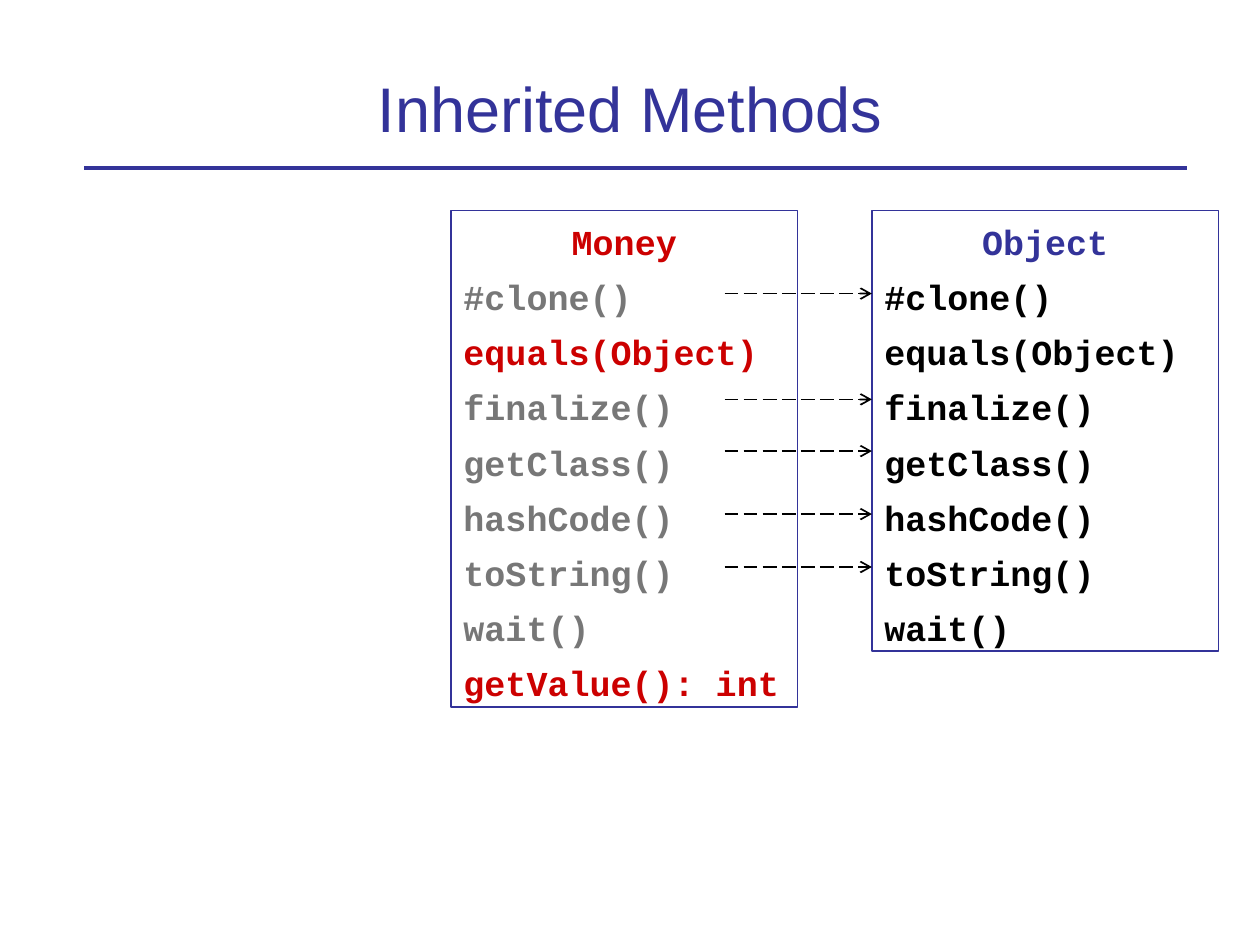
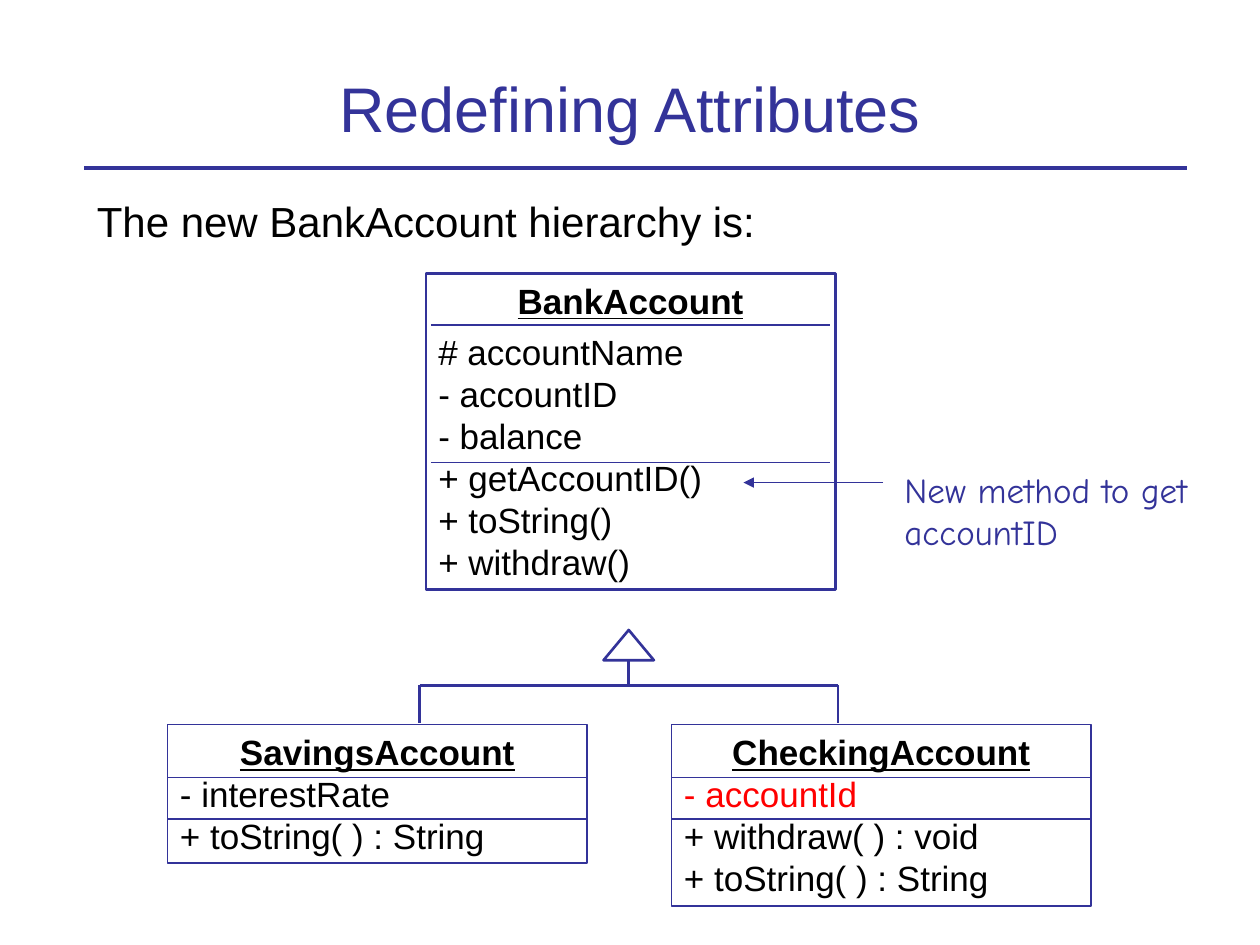
from dataclasses import dataclass
from typing import Optional

import pptx
import pptx.dml.color
import pptx.enum.dml
import pptx.enum.shapes
import pptx.enum.text
import pptx.oxml.ns
import pptx.presentation
import pptx.shapes.base
import pptx.shapes.connector
import pptx.slide
import pptx.text.text
import pptx.util
from lxml import etree

Inches = pptx.util.Inches
Pt = pptx.util.Pt
Align = pptx.enum.text.PP_ALIGN
Shape = pptx.enum.shapes.MSO_SHAPE
Dash = pptx.enum.dml.MSO_LINE

COLOURS = {
    "blue": "333399",
    "crimson": "CC0000",
    "red": "FF0000",
    "grey": "777777",
    "black": "000000",
    "white": "FFFFFF",
}
BODY_FONT = "Arial"
CODE_FONT = "Courier New"
NOTE_FONT = "Comic Neue"
LEADING = 1.2
BLANK_LAYOUT = 6


@dataclass
class Line:
    text: str
    colour: str = "black"
    size: float = 20
    font: str = BODY_FONT
    heading: bool = False
    underline: bool = False
    bold: bool = False
    before: float = 0


@dataclass
class ClassBox:
    left: float
    top: float
    width: float
    height: float
    lines: list[Line]
    weight: float
    fill: Optional[str] = None
    dividers: tuple[float, ...] = ()
    divider_weight: float = 0.75
    divider_inset: float = 0
    inset_top: float = 0.05


def rgb(name: str) -> pptx.dml.color.RGBColor:
    return pptx.dml.color.RGBColor.from_string(COLOURS[name])


def write_lines(frame: pptx.text.text.TextFrame, lines: list[Line]) -> None:
    frame.word_wrap = True
    frame.text = "\n".join(line.text for line in lines)
    for para, line in zip(frame.paragraphs, lines):
        para.alignment = Align.CENTER if line.heading else Align.LEFT
        para.line_spacing = Pt(line.size * LEADING)
        para.space_before = Pt(line.before)
        for span in para.runs:
            span.font.name = line.font
            span.font.size = Pt(line.size)
            span.font.bold = line.bold
            span.font.underline = line.underline
            span.font.color.rgb = rgb(line.colour)


def add_text(page: pptx.slide.Slide, left: float, top: float, width: float,
             height: float, line: Line) -> pptx.shapes.base.BaseShape:
    box = page.shapes.add_textbox(Inches(left), Inches(top),
                                  Inches(width), Inches(height))
    write_lines(box.text_frame, [line])
    return box


def add_line(page: pptx.slide.Slide, start: tuple[float, float],
             end: tuple[float, float], weight: float, colour: str = "blue",
             arrow: Optional[str] = None) -> pptx.shapes.connector.Connector:
    """Draw a straight line; arrow names the arrowhead at its end."""
    connector = page.shapes.add_connector(
        pptx.enum.shapes.MSO_CONNECTOR.STRAIGHT,
        *(Inches(value) for value in (*start, *end)))
    connector.line.color.rgb = rgb(colour)
    connector.line.width = Pt(weight)
    if arrow:
        etree.SubElement(connector.line._get_or_add_ln(),
                         pptx.oxml.ns.qn("a:tailEnd"), type=arrow)
    etree.SubElement(connector._element.spPr, pptx.oxml.ns.qn("a:effectLst"))
    return connector


def add_outlined(page: pptx.slide.Slide, kind: Shape, left: float, top: float,
                 width: float, height: float, weight: float,
                 fill: Optional[str] = None) -> pptx.shapes.base.BaseShape:
    shape = page.shapes.add_shape(kind, Inches(left), Inches(top),
                                  Inches(width), Inches(height))
    shape.shadow.inherit = False
    if fill:
        shape.fill.solid()
        shape.fill.fore_color.rgb = rgb(fill)
    else:
        shape.fill.background()
    shape.line.color.rgb = rgb("blue")
    shape.line.width = Pt(weight)
    return shape


def add_class_box(page: pptx.slide.Slide, item: ClassBox) -> None:
    box = add_outlined(page, Shape.RECTANGLE, item.left, item.top,
                       item.width, item.height, item.weight, item.fill)
    frame = box.text_frame
    frame.vertical_anchor = pptx.enum.text.MSO_ANCHOR.TOP
    frame.margin_top = Inches(item.inset_top)
    frame.margin_bottom = Inches(0.1 - item.inset_top)
    write_lines(frame, item.lines)
    for y in item.dividers:
        add_line(page, (item.left + item.divider_inset, y),
                 (item.left + item.width - item.divider_inset, y),
                 item.divider_weight)


def add_titled_page(deck: pptx.presentation.Presentation,
                    title: str) -> pptx.slide.Slide:
    page = deck.slides.add_slide(deck.slide_layouts[BLANK_LAYOUT])
    add_line(page, (0.67, 1.33), (9.42, 1.33), 2.25)
    box = add_text(page, 0.67, 0.25, 8.66, 0.95,
                   Line(title, "blue", 36, heading=True))
    box.text_frame.vertical_anchor = pptx.enum.text.MSO_ANCHOR.BOTTOM
    return page


def code_box(left: float, height: float,
             members: list[tuple[str, str]]) -> ClassBox:
    """Describe a class whose first (text, colour) pair is its name."""
    lines = [Line(text, colour, font=CODE_FONT, bold=True, heading=index == 0,
                  before=7.5 if index else 0)
             for index, (text, colour) in enumerate(members)]
    return ClassBox(left, 1.67, 2.75, height, lines, 1, "white", inset_top=0.08)


def class_name(text: str) -> Line:
    return Line(text, heading=True, bold=True, underline=True)


def build_inherited_methods(deck: pptx.presentation.Presentation) -> None:
    page = add_titled_page(deck, "Inherited Methods")
    methods = ["#clone()", "equals(Object)", "finalize()", "getClass()",
               "hashCode()", "toString()", "wait()"]
    overridden = {"equals(Object)"}
    object_members = [("Object", "blue")]
    money_members = [("Money", "crimson")]
    for method in methods:
        object_members.append((method, "black"))
        money_members.append(
            (method, "crimson" if method in overridden else "grey"))
    money_members.append(("getValue(): int", "crimson"))

    add_class_box(page, code_box(6.92, 3.5, object_members))
    add_class_box(page, code_box(3.58, 3.94, money_members))
    for y in (2.33, 3.17, 3.58, 4.08, 4.5):
        arrow = add_line(page, (5.75, y), (6.92, y), 1, "black", "arrow")
        arrow.line.dash_style = Dash.LONG_DASH


def build_redefining_attributes(deck: pptx.presentation.Presentation) -> None:
    page = add_titled_page(deck, "Redefining Attributes")
    add_text(page, 0.67, 1.5, 8.66, 0.58,
             Line("The new BankAccount hierarchy is:", size=24))

    account = [class_name("BankAccount"), Line("# accountName", before=5),
               Line("- accountID"), Line("- balance"),
               Line("+ getAccountID()"), Line("+ toString()"),
               Line("+ withdraw()")]
    checking = [class_name("CheckingAccount"), Line("- accountId", "red"),
                Line("+ withdraw( ) : void"), Line("+ toString( ) : String")]
    savings = [class_name("SavingsAccount"), Line("- interestRate"),
               Line("+ toString( ) : String")]

    add_class_box(page, ClassBox(3.38, 2.17, 3.25, 2.51, account, 1.5,
                                 dividers=(2.58, 3.67), divider_weight=1,
                                 divider_inset=0.04))
    for left, height, lines in ((5.33, 1.44, checking), (1.33, 1.1, savings)):
        add_class_box(page, ClassBox(left, 5.75, 3.33, height, lines, 0.75,
                                     dividers=(6.17, 6.5)))

    stem_x, branch_y, branch_xs = 4.99, 5.44, (3.33, 6.65)
    add_outlined(page, Shape.ISOSCELES_TRIANGLE, stem_x - 0.2, 5, 0.4, 0.24, 1.5)
    add_line(page, (stem_x, branch_y), (stem_x, 5.24), 1.5)
    add_line(page, (branch_xs[0], branch_y), (branch_xs[1], branch_y), 1.5)
    for x in branch_xs:
        add_line(page, (x, branch_y), (x, 5.74), 1.5)

    add_line(page, (7.01, 3.83), (5.9, 3.83), 1, arrow="triangle")
    add_text(page, 7.08, 3.67, 2.67, 0.77,
             Line("New method to get accountID", "blue", font=NOTE_FONT))


def main() -> None:
    deck = pptx.Presentation()
    deck.slide_width = Inches(10)
    deck.slide_height = Inches(7.5)
    build_inherited_methods(deck)
    build_redefining_attributes(deck)
    deck.save("out.pptx")


if __name__ == "__main__":
    main()
